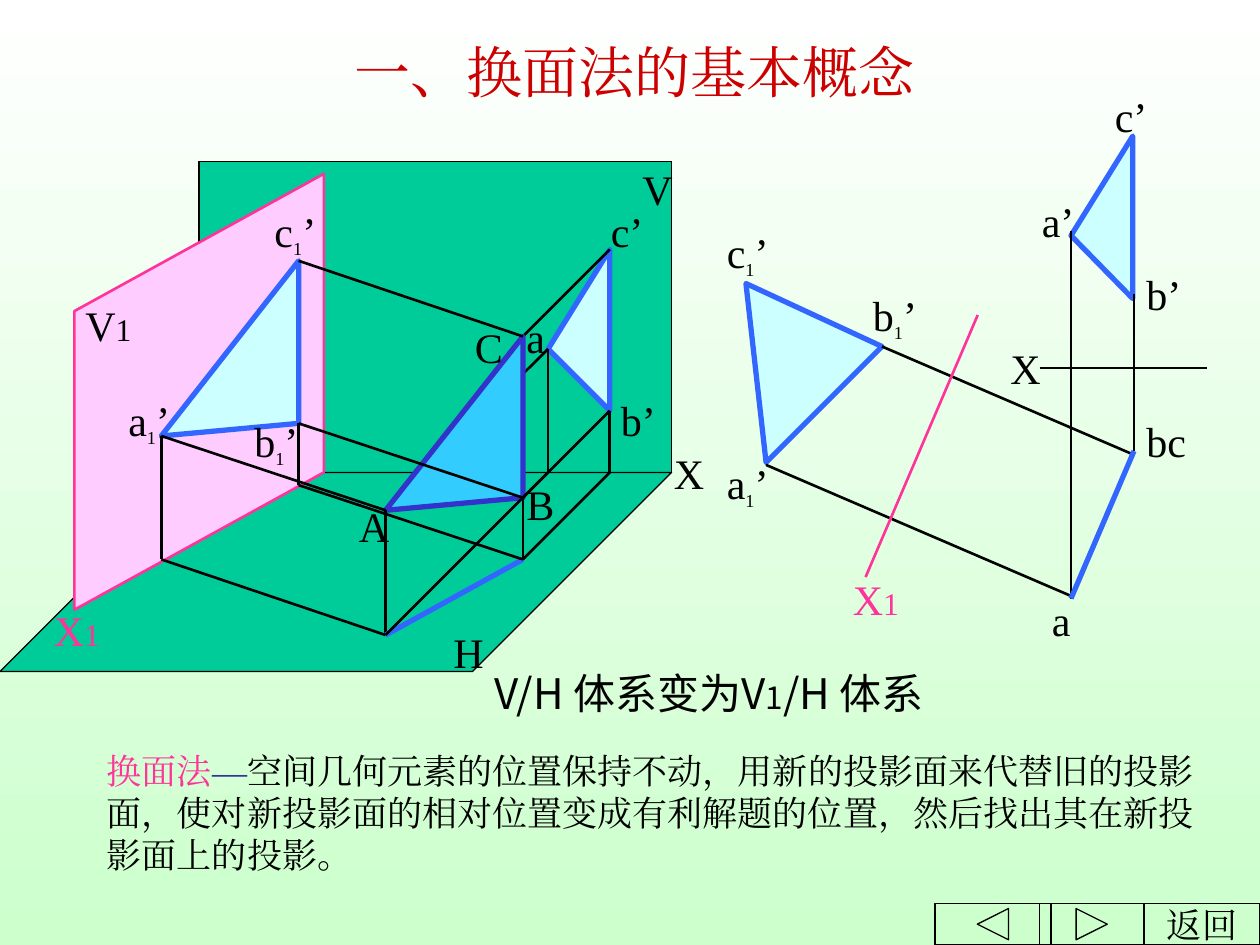
"""Builds the slide on the basic idea of replacing projection planes."""
from pptx import Presentation
from pptx.dml.color import RGBColor
from pptx.enum.shapes import MSO_CONNECTOR as Link, MSO_SHAPE as Preset
from pptx.enum.text import MSO_ANCHOR as Anchor, PP_ALIGN as Align
from pptx.oxml.ns import qn
from pptx.util import Inches, Pt

COLORS = {
    "ink": "000000", "plane": "00CC99", "new_plane": "FFCCFF", "pink": "FF3399",
    "view": "CCFFFF", "edge": "3366FF", "solid": "33CCFF", "solid_edge": "3333CC",
    "title": "CC0000", "dash": "333399", "sky": "FFFFFF", "ground": "CCFFCC",
}
SERIF, SANS = "Times New Roman", "Noto Sans CJK SC"

A, B, C = (3.06, 4.05), (4.15, 3.95), (4.15, 2.67)
A_V, B_V, C_V = (4.35, 2.77), (4.84, 3.26), (4.84, 1.98)
A_V1, B_V1, C_V1 = (1.28, 3.46), (2.37, 3.36), (2.37, 2.07)
A_H, BC_H = (3.06, 5.04), (4.15, 4.44)
A_X, BC_X = (4.35, 3.75), (4.84, 3.75)
A_X1, BC_X1 = (1.28, 4.44), (2.37, 3.85)
FLAT_A_V1, FLAT_B_V1, FLAT_C_V1 = (6.08, 3.67), (7, 2.75), (5.92, 2.25)
FLAT_A_V, FLAT_B_V, FLAT_C_V = (8.5, 1.87), (8.99, 2.37), (8.99, 1.08)
FLAT_A_H, FLAT_BC_H = (8.5, 4.75), (9, 3.58)

V_PLANE = (1.58, 1.28, 3.75, 2.47)
H_PLANE = [(1.58, 3.75), (0, 5.33), (3.75, 5.33), (5.33, 3.75)]
V1_PLANE = [(0.59, 4.84), (2.57, 3.75), (2.57, 1.38), (0.59, 2.47)]

VIEW = ("view", "edge", 3)
RAY, AXIS, TRACE = ("ink", 1.5), ("pink", 1.5), ("edge", 3)

SPATIAL_VIEW = [
    (H_PLANE, ("plane", "ink", 0.75)),
    ([C_V, B_V, A_V], VIEW),
    ([C_V, C], RAY), ([A_V, A], RAY),
    ([C, B, A], ("solid", "solid_edge", 3)),
    ([B_V, BC_X], RAY), ([A_V, A_X], RAY), ([A, A_H], RAY),
    ([A_H, BC_H], TRACE),
    ([BC_X, BC_H], RAY), ([A_X, A_H], RAY), ([B_V, B], RAY), ([B, BC_H], RAY),
    (V1_PLANE, ("new_plane", "pink", 1.5)),
    ([C_V1, B_V1, A_V1], VIEW),
    ([A_V1, A_X1], RAY), ([B_V1, BC_X1], RAY),
    ([C, C_V1], RAY), ([B, B_V1], RAY), ([A, A_V1], RAY),
    ([A_H, A_X1], RAY), ([BC_H, BC_X1], RAY),
]
FLAT_VIEW = [
    ([FLAT_C_V1, FLAT_A_V1, FLAT_B_V1], VIEW),
    ([FLAT_B_V1, (9, 3.61)], RAY), ([(6.08, 3.69), (8.5, 4.73)], RAY),
    ([(7.76, 2.5), (6.87, 4.58)], AXIS),
    ([(8.25, 2.92), (9.58, 2.92)], RAY),
    ([FLAT_C_V, FLAT_B_V, FLAT_A_V], VIEW),
    ([(9, 2.33), FLAT_BC_H], RAY), ([(8.5, 1.83), FLAT_A_H], RAY),
    ([FLAT_BC_H, FLAT_A_H], TRACE),
]

POINT_LABELS = [
    ("V", 5, 1.25, 0.42), ("A", 2.75, 3.92, 0.42), ("H", 3.5, 4.92, 0.42),
    ("a", 4.08, 2.42, 0.42), ("C", 3.67, 2.5, 0.42), ("B", 4.08, 3.75, 0.42),
    ("c’", 4.75, 1.58, 0.67), ("b’", 4.83, 3.08, 0.67), ("X", 5.25, 3.5, 0.5),
    ("bc", 9, 3.25, 0.67), ("a", 8.25, 4.67, 0.67), ("b’", 9, 2.08, 0.67),
    ("a’", 8.17, 1.5, 0.67), ("c’", 8.75, 0.67, 0.67), ("X", 7.92, 2.67, 0.5),
]
V1_POINT_LABELS = [
    ("a", 5.67, 3.58), ("c", 5.67, 1.75), ("b", 6.83, 2.25),
    ("c", 2.08, 1.58), ("b", 1.92, 3.25), ("a", 0.92, 3.08),
]
V1_AXIS_LABELS = [
    ("V", 0.58, 2.33, 0.67, "ink"), ("X", 6.67, 4.5, 0.83, "pink"),
    ("X", 0.33, 4.75, 0.83, "pink"),
]
TITLE = [("一、换面法的基本概念", {"size": 32, "color": "title"})]
CAPTION = [
    ("V/H 体系变为V", {"face": SANS}),
    ("1", {"face": SANS, "size": 18}),
    ("/H 体系", {"face": SANS}),
]
DEFINITION = [
    ("换面法", {"size": 20, "color": "pink"}),
    ("—", {"size": 20, "color": "dash"}),
    ("空间几何元素的位置保持不动，用新的投影面来代替旧的投影面，使对新投影面的相对位置"
     "变成有利解题的位置，然后找出其在新投影面上的投影。", {"size": 20}),
]
BACK = [("返回", {"size": 20})]
BUTTONS = [
    (Preset.ACTION_BUTTON_CUSTOM, 9.08, 0.92, BACK),
    (Preset.ACTION_BUTTON_BACK_OR_PREVIOUS, 7.42, 0.92, []),
    (Preset.ACTION_BUTTON_FORWARD_OR_NEXT, 8.25, 0.83, []),
]


def rgb(name):
    return RGBColor.from_string(COLORS[name])


def outline(line, color, width):
    line.color.rgb = rgb(color)
    line.width = Pt(width)


def paint(shape, fill, edge, width):
    shape.shadow.inherit = False
    if fill:
        shape.fill.solid()
        shape.fill.fore_color.rgb = rgb(fill)
    else:
        shape.fill.background()
    outline(shape.line, edge, width)


def draw(shapes, points, style):
    corners = [(Inches(x), Inches(y)) for x, y in points]
    if len(corners) == 2:
        segment = shapes.add_connector(Link.STRAIGHT, *corners[0], *corners[1])
        outline(segment.line, *style)
        properties = segment._element.spPr
        properties.append(properties.makeelement(qn("a:effectLst"), {}))
        return
    builder = shapes.build_freeform(*corners[0], scale=1.0)
    builder.add_line_segments(corners[1:], close=True)
    paint(builder.convert_to_shape(), *style)


def write(frame, spans, align=Align.LEFT):
    paragraph = frame.paragraphs[0]
    paragraph.alignment = align
    for text, custom in spans:
        look = {"face": SERIF, "size": 24, "color": "ink", "baseline": None} | custom
        run = paragraph.add_run()
        run.text = text
        run.font.color.rgb = rgb(look["color"])
        for name, value in {"name": look["face"], "size": Pt(look["size"])}.items():
            setattr(run.font, name, value)
        properties = run._r.get_or_add_rPr()
        east_asian = properties.makeelement(qn("a:ea"), {"typeface": look["face"]})
        properties.find(qn("a:latin")).addnext(east_asian)
        if look["baseline"]:
            properties.set("baseline", look["baseline"])


def add_text(shapes, spans, left, top, width, height=0.5, align=Align.LEFT):
    box = shapes.add_textbox(*map(Inches, (left, top, width, height)))
    box.text_frame.word_wrap = True
    write(box.text_frame, spans, align)


def main():
    deck = Presentation()
    deck.slide_width, deck.slide_height = Inches(10), Inches(7.5)
    slide = deck.slides.add_slide(deck.slide_layouts[6])
    shapes = slide.shapes

    backdrop = slide.background.fill
    backdrop.gradient()
    backdrop.gradient_angle = 270
    for stop, name in zip(backdrop.gradient_stops, ("sky", "ground")):
        stop.color.rgb = rgb(name)

    v_plane = shapes.add_shape(Preset.RECTANGLE, *map(Inches, V_PLANE))
    paint(v_plane, "plane", "ink", 0.75)
    for points, style in SPATIAL_VIEW + FLAT_VIEW:
        draw(shapes, points, style)

    for letter, left, top, width in POINT_LABELS:
        add_text(shapes, [(letter, {})], left, top, width)
    for letter, left, top in V1_POINT_LABELS:
        index = ("1", {"size": 18, "baseline": "-25000"})
        add_text(shapes, [(letter, {}), index, ("’", {})], left, top, 0.58, 0.53)
    for letter, left, top, width, color in V1_AXIS_LABELS:
        spans = [(letter, {"color": color}), ("1", {"color": color, "size": 18})]
        add_text(shapes, spans, left, top, width)

    add_text(shapes, TITLE, 0, 0.25, 10.08, 0.75, Align.CENTER)
    add_text(shapes, CAPTION, 3.83, 5.25, 3.92)
    add_text(shapes, DEFINITION, 0.75, 5.9, 8.83, 1.1)

    for preset, left, width, spans in BUTTONS:
        button = shapes.add_shape(preset, *map(Inches, (left, 7.17, width, 0.33)))
        paint(button, None, "ink", 0.75)
        if spans:
            button.text_frame.word_wrap = False
            button.text_frame.vertical_anchor = Anchor.MIDDLE
            write(button.text_frame, spans, Align.CENTER)

    deck.save("out.pptx")


if __name__ == "__main__":
    main()
